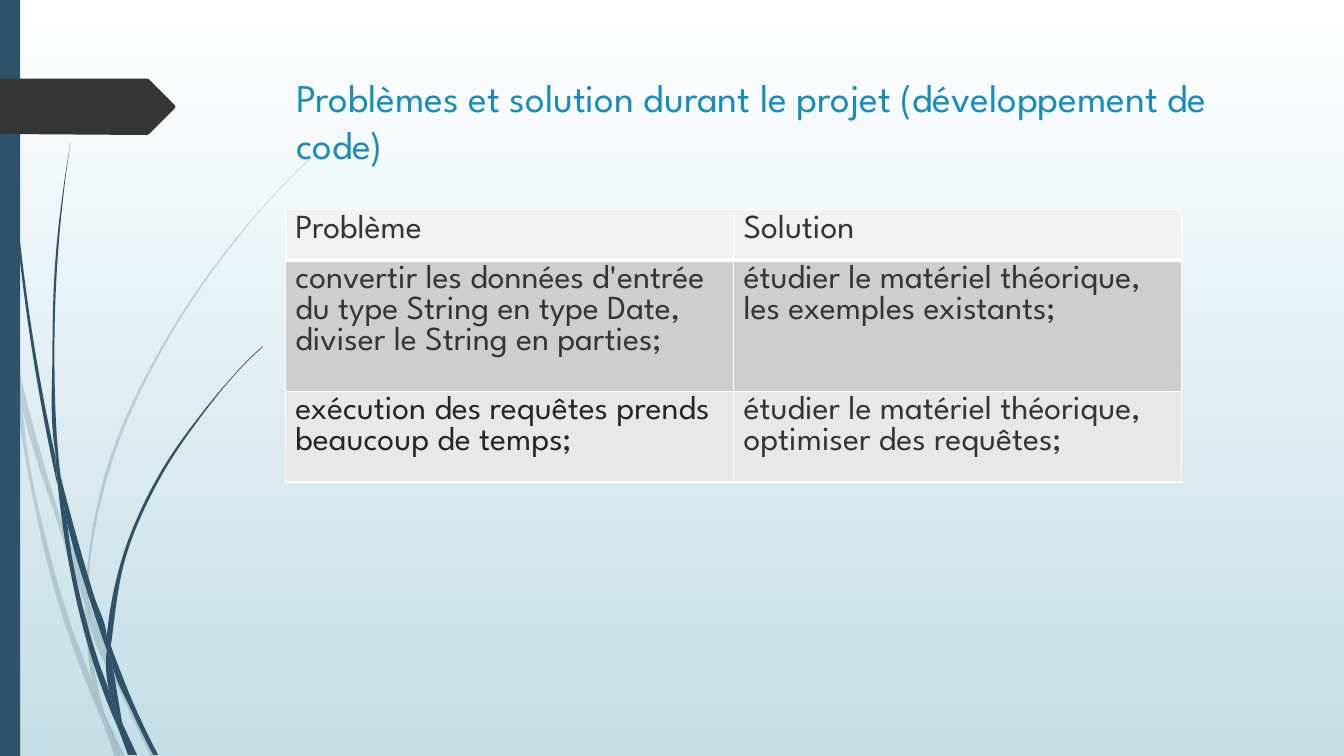
from math import hypot
from lxml import etree
from pptx import Presentation
from pptx.dml.color import RGBColor
from pptx.enum.shapes import MSO_SHAPE
from pptx.enum.text import MSO_ANCHOR
from pptx.oxml.ns import qn
from pptx.util import Inches, Pt

RECTANGLE = MSO_SHAPE.RECTANGLE
TOP = MSO_ANCHOR.TOP

# Content
TITLE = "Problèmes et solution durant le projet (développement de code)"
ROWS = [
    ("Problème", "Solution"),
    ("convertir les données d'entrée du type String en type Date, diviser le String en parties;",
     "étudier le matériel théorique, les exemples existants;"),
    ("exécution des requêtes prends beaucoup de temps;",
     "étudier le matériel théorique, optimiser des requêtes;"),
]

# Theme
THEME = {
    "font": "League Spartan", "title_size": 28, "table_size": 24,
    "title": "178DBB", "text": "353535", "dark_text": "262626",
    "strand": "2E5369", "tag": "353535", "border": "FFFFFF",
    "rows": ["F2F2F2", "CECECE", "E8E8E8"],
    "background": ["FFFFFF", "C5DEE5"], "pale_alpha": 20,
}

# Outline points of the grass strands, in inches
PALE_STRANDS = [
    [(.11, 3.5), (.09, 3.22), (0, 2.82), (0, 2.99), (.1, 3.44)],
    [(.58, 5.22), (.84, 5.99), (.85, 5.86), (.62, 5.2), (.14, 3.45), (.17, 3.76)],
    [(.92, 6.07), (.88, 5.96), (.88, 6.1), (1.23, 6.94), (1.5, 7.51), (1.55, 7.51), (1.27, 6.92)],
    [(1.19, 7.51), (1.24, 7.51), (1.05, 7.11)],
    [(.93, 6.83), (.7, 6.19), (.31, 4.69), (.17, 3.76), (.11, 3.5), (.28, 4.7), (.65, 6.21),
     (.92, 6.93), (1.01, 7.14), (.99, 7.07)],
    [(.84, 5.99), (.87, 6.46), (.93, 6.83), (.96, 6.92), (1.05, 7.11), (1.03, 7.06),
     (.91, 6.46), (.88, 6.1), (.88, 6.08)],
    [(.88, 5.84), (1.1, 4.62), (1.6, 3.49), (2.29, 2.45), (2.68, 1.98), (2.9, 1.75), (3.12, 1.54),
     (3.12, 1.53), (2.89, 1.75), (2.68, 1.97), (2.28, 2.44), (1.58, 3.48), (1.07, 4.61),
     (.85, 5.84), (.85, 5.86), (.88, 5.96)],
    [(1.01, 7.14), (1.14, 7.51), (1.19, 7.51)],
    [(.88, 6.08), (.88, 6.1), (.88, 5.96), (.85, 5.86), (.84, 5.99)],
    [(.96, 6.92), (.93, 6.83), (.99, 7.07), (1.01, 7.14), (1.19, 7.51), (1.05, 7.11)],
]
DARK_STRANDS = [
    [(.07, 1.1), (.17, 2.33), (.33, 3.55), (.56, 4.77), (.57, 4.81), (.55, 4.57), (.55, 4.53),
     (.36, 3.55), (.19, 2.32), (.08, 1.09), (.05, .48), (.04, 0), (.03, 0), (.04, .48)],
    [(.88, 5.92), (1.06, 6.45), (1.06, 6.31), (.93, 5.9), (.6, 4.72), (.64, 5.05)],
    [(1.13, 6.49), (1.1, 6.41), (1.11, 6.56), (1.32, 7.08), (1.52, 7.49), (1.57, 7.49),
     (1.36, 7.06)],
    [(1.1, 6.91), (.98, 6.57), (.72, 5.56), (.64, 5.05), (.57, 4.77), (.68, 5.57), (.93, 6.59),
     (1.11, 7.08), (1.17, 7.22), (1.16, 7.17)],
    [(.6, 4.72), (.58, 4.53), (.54, 3.49), (.58, 2.45), (.63, 1.93), (.7, 1.41), (.62, 1.93),
     (.56, 2.45), (.52, 3.49), (.55, 4.49)],
    [(1.33, 7.49), (1.36, 7.49), (1.22, 7.19)],
    [(.57, 4.77), (.64, 5.05), (.6, 4.72), (.55, 4.49), (.55, 4.53)],
    [(1.11, 6.33), (1.25, 5.52), (1.58, 4.76), (2.05, 4.06), (2.31, 3.74), (2.45, 3.59),
     (2.61, 3.44), (2.6, 3.44), (2.45, 3.58), (2.31, 3.73), (2.04, 4.05), (1.56, 4.74),
     (1.22, 5.51), (1.06, 6.31), (1.1, 6.41)],
    [(1.17, 7.22), (1.27, 7.49), (1.31, 7.49)],
    [(1.06, 6.45), (1.1, 6.91), (1.16, 7.06), (1.22, 7.19), (1.21, 7.16), (1.11, 6.56),
     (1.09, 6.51)],
    [(1.06, 6.45), (1.09, 6.51), (1.11, 6.56), (1.1, 6.41), (1.06, 6.31)],
    [(1.16, 7.06), (1.1, 6.91), (1.16, 7.17), (1.17, 7.22), (1.3, 7.49), (1.33, 7.49),
     (1.22, 7.19)],
]
TAG = [(0, .78), (1.46, .78), (1.48, .79), (1.73, 1.04), (1.74, 1.06), (1.73, 1.08),
       (1.48, 1.33), (1.46, 1.34), (0, 1.33)]

# Layout, in inches
TITLE_BOX = (2.84, 0.68, 9.75, 1.08)
TABLE_BOX = (2.83, 2.08, 8.89, 3.5)
ROW_HEIGHT = 0.41  # rows grow with their text
SMOOTH_LIMIT = 0.9
SHORT_EDGE = 0.08


def color(value):
    return RGBColor.from_string(value)


def edge(start, end):
    """Length and unit direction of an edge."""
    dx, dy = end[0] - start[0], end[1] - start[1]
    length = hypot(dx, dy)
    return length, (dx / length, dy / length)


def dot(first, second):
    return first[0] * second[0] + first[1] * second[1]


def tangent(before, point, after):
    """Direction of the arc through three points, or None at a corner."""
    (length_in, inward), (length_out, outward) = edge(before, point), edge(point, after)
    if min(length_in, length_out) < SHORT_EDGE or dot(inward, outward) < SMOOTH_LIMIT:
        return None
    mixed = [inward[axis] * length_out + outward[axis] * length_in for axis in (0, 1)]
    return edge((0, 0), mixed)[1]


def mirror(direction, chord):
    """End an arc at a corner with the same bend as at its other end."""
    if direction is None:
        return chord
    return [2 * dot(direction, chord) * chord[axis] - direction[axis] for axis in (0, 1)]


def curves(points):
    """One Bézier curve per edge: two control points and the end."""
    count = len(points)
    for index, start in enumerate(points):
        before, end, after = (points[(index + step) % count] for step in (-1, 1, 2))
        length, chord = edge(start, end)
        leave, arrive = tangent(before, start, end), tangent(start, end, after)
        leave, arrive = leave or mirror(arrive, chord), arrive or mirror(leave, chord)
        yield ([start[axis] + leave[axis] * length / 3 for axis in (0, 1)],
               [end[axis] - arrive[axis] * length / 3 for axis in (0, 1)], end)


def paint(shape, fill, alpha=None):
    shape.shadow.inherit = False
    shape.fill.solid()
    shape.fill.fore_color.rgb = color(fill)
    shape.line.fill.background()
    if alpha is not None:
        rgb = shape.fill._xPr.find(".//" + qn("a:srgbClr"))
        etree.SubElement(rgb, qn("a:alpha"), val=str(alpha * 1000))


def add_outline(slide, points, fill, alpha=None):
    corners = [(Inches(x), Inches(y)) for x, y in points]
    builder = slide.shapes.build_freeform(*corners[0])
    builder.add_line_segments(corners[1:] + corners[:1], close=True)
    shape = builder.convert_to_shape()
    paint(shape, fill, alpha)
    return shape


def add_strand(slide, points, alpha):
    shape = add_outline(slide, points, THEME["strand"], alpha)
    for line, curve in zip(list(shape._element.iter(qn("a:lnTo"))), curves(points)):
        bezier = etree.Element(qn("a:cubicBezTo"))
        for x, y in curve:
            etree.SubElement(bezier, qn("a:pt"), x=str(Inches(x) - shape.left),
                             y=str(Inches(y) - shape.top))
        line.getparent().replace(line, bezier)


def add_text(frame, text, size, text_color):
    run = frame.paragraphs[0].add_run()
    run.text = text
    run.font.name = THEME["font"]
    run.font.size = Pt(size)
    run.font.color.rgb = color(text_color)


def add_border(cell, side, width):
    line = etree.SubElement(cell._tc.get_or_add_tcPr(), qn("a:" + side), w=str(Pt(width)))
    fill = etree.SubElement(line, qn("a:solidFill"))
    etree.SubElement(fill, qn("a:srgbClr"), val=THEME["border"])


def main():
    presentation = Presentation()
    presentation.slide_width, presentation.slide_height = Inches(13.33), Inches(7.5)
    slide = presentation.slides.add_slide(presentation.slide_layouts[6])

    # Background
    background = slide.background.fill
    background.gradient()
    background.gradient_angle = 270
    for stop, value in zip(background.gradient_stops, THEME["background"]):
        stop.color.rgb = color(value)

    # Strands, side bar and tag
    for strands, alpha in ((PALE_STRANDS, THEME["pale_alpha"]), (DARK_STRANDS, None)):
        for points in strands:
            add_strand(slide, points, alpha)
    side_bar = slide.shapes.add_shape(RECTANGLE, 0, 0, Inches(0.2), Inches(7.5))
    paint(side_bar, THEME["strand"])
    add_outline(slide, TAG, THEME["tag"])

    # Title
    title = slide.shapes.add_textbox(*map(Inches, TITLE_BOX)).text_frame
    title.word_wrap = True
    title.vertical_anchor = TOP
    add_text(title, TITLE, THEME["title_size"], THEME["title"])

    # Table
    table_frame = slide.shapes.add_table(len(ROWS), 2, *map(Inches, TABLE_BOX))
    for row, texts in enumerate(ROWS):
        table_frame.table.rows[row].height = Inches(ROW_HEIGHT)
        for column, text in enumerate(texts):
            cell = table_frame.table.cell(row, column)
            widths = {"lnL": 1, "lnR": 1, "lnT": 3 if row == 1 else 1, "lnB": 3 if row == 0 else 1}
            for side, width in widths.items():
                add_border(cell, side, width)
            cell.fill.solid()
            cell.fill.fore_color.rgb = color(THEME["rows"][row])
            shade = "dark_text" if (row, column) == (2, 0) else "text"
            add_text(cell.text_frame, text, THEME["table_size"], THEME[shade])
    table_frame.height = Inches(TABLE_BOX[3])

    presentation.save("out.pptx")


if __name__ == "__main__":
    main()
